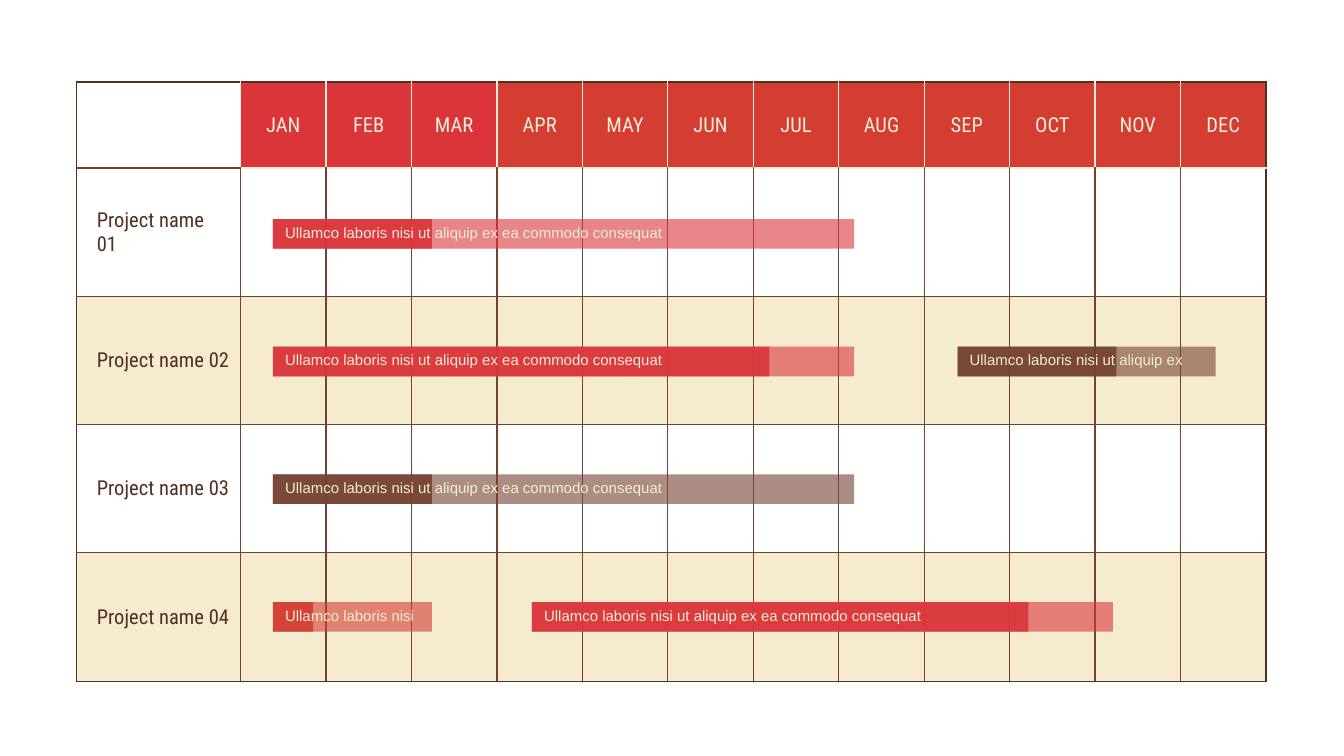
import pptx
import pptx.util
import pptx.dml.color
import pptx.enum.shapes
import pptx.enum.text
import pptx.oxml
import pptx.oxml.ns
from lxml import etree

Inches = pptx.util.Inches
Pt = pptx.util.Pt
RGBColor = pptx.dml.color.RGBColor
qn = pptx.oxml.ns.qn
ALIGN = pptx.enum.text.PP_ALIGN

CREAM = RGBColor(0xF6, 0xED, 0xD4)
SAND = RGBColor(0xED, 0xD8, 0x9E)
ROSE = RGBColor(0xDA, 0x35, 0x3B)
RED = RGBColor(0xD3, 0x3D, 0x32)
BROWN = RGBColor(0x75, 0x42, 0x31)
DARK = RGBColor(0x52, 0x2F, 0x21)

# Grid, in inches
WIDE = 10
HIGH = WIDE * 9 / 16
LEFT, TOP = 0.57, 0.61
NAME_W, HEAD_H = 1.22, 0.64
MONTH_W = 7.63 / 12
ROW_H = 3.82 / 4
BAR_TOP, BAR_STEP, BAR_H = 1.63, 0.95, 0.22

MONTHS = "JAN FEB MAR APR MAY JUN JUL AUG SEP OCT NOV DEC".split()
NAMES = ["Project name\n01", "Project name 02",
         "Project name 03", "Project name 04"]

LONG = "Ullamco laboris nisi ut aliquip ex ea commodo consequat"
# Project row, start, length and done (in months), colour, label, label width
BARS = [
    (0, 0.38, 6.8, 1.86, ROSE, LONG, 3.11),
    (3, 0.38, 1.86, 0.47, RED, "Ullamco laboris nisi", 1.13),
    (1, 0.38, 6.8, 5.81, ROSE, LONG, 3.11),
    (2, 0.38, 6.8, 1.86, BROWN, LONG, 3.11),
    (3, 3.41, 6.8, 5.81, ROSE, LONG, 3.11),
    (1, 8.39, 3.02, 1.86, BROWN, "Ullamco laboris nisi ut aliquip ex", 1.87),
]


def tint(fill, props, color, share=100):
    """Fill with a colour, see-through when share is under 100."""
    fill.solid()
    fill.fore_color.rgb = color
    if share < 100:
        tone = props.find(qn("a:solidFill"))[0]
        etree.SubElement(tone, qn("a:alpha"), val=str(share * 1000))


def style(frame, font, size, color, align=ALIGN.LEFT):
    for para in frame.paragraphs:
        para.alignment = align
        for run in para.runs:
            run.font.name = font
            run.font.size = Pt(size)
            run.font.color.rgb = color


def edge(cell, side, color):
    line = etree.SubElement(cell._tc.get_or_add_tcPr(), qn("a:ln" + side),
                            w=str(Pt(0.75)))
    paint = etree.SubElement(line, qn("a:solidFill"))
    etree.SubElement(paint, qn("a:srgbClr"), val=str(color))


def add_edges(cell, row, col):
    """Dark outer frame, cream lines around months, brown lines elsewhere."""
    head = row == 0
    month = col > 0
    inner = CREAM if head else BROWN
    edge(cell, "L", inner if month else DARK)
    edge(cell, "R", DARK if col == len(MONTHS) else inner)
    edge(cell, "T", DARK if head else
         CREAM if row == 1 and month else BROWN)
    edge(cell, "B", DARK if row == len(NAMES) else
         CREAM if head and month else BROWN)


def add_cell(cell, row, col):
    add_edges(cell, row, col)
    props = cell._tc.tcPr
    if row == 0 and col > 0:
        tint(cell.fill, props, ROSE if col <= 3 else RED)
    elif row > 0 and row % 2 == 0:
        tint(cell.fill, props, SAND, 50)
    else:
        cell.fill.background()

    cell.vertical_anchor = pptx.enum.text.MSO_ANCHOR.MIDDLE
    cell.margin_left = Inches(0.15 if col == 0 else 0.04)
    cell.margin_right = Inches(0.04)
    cell.margin_top = cell.margin_bottom = Inches(0.02)
    if row == 0 and col > 0:
        cell.text_frame.text = MONTHS[col - 1]
        style(cell.text_frame, "Roboto Condensed", 11, CREAM, ALIGN.CENTER)
    elif row > 0 and col == 0:
        cell.text_frame.text = NAMES[row - 1]
        style(cell.text_frame, "Roboto Condensed", 11, DARK)


def add_plan(slide):
    rows, cols = len(NAMES) + 1, len(MONTHS) + 1
    table = slide.shapes.add_table(
        rows, cols, Inches(LEFT), Inches(TOP),
        Inches(NAME_W + 12 * MONTH_W), Inches(HEAD_H + 4 * ROW_H)).table
    table.first_row = table.horz_banding = False
    for col in range(cols):
        table.columns[col].width = Inches(MONTH_W if col else NAME_W)
    for row in range(rows):
        table.rows[row].height = Inches(ROW_H if row else HEAD_H)
        for col in range(cols):
            add_cell(table.cell(row, col), row, col)


def add_strip(group, left, top, months, color, share):
    strip = group.shapes.add_shape(
        pptx.enum.shapes.MSO_SHAPE.RECTANGLE, Inches(left), Inches(top),
        Inches(months * MONTH_W), Inches(BAR_H))
    strip.shadow.inherit = False
    strip.line.fill.background()
    tint(strip.fill, strip._element.spPr, color, share)


def add_bar(slide, row, start, length, done, color, label, width):
    left = LEFT + NAME_W + start * MONTH_W
    top = BAR_TOP + row * BAR_STEP
    group = slide.shapes.add_group_shape()
    add_strip(group, left, top, length, color, 60)
    add_strip(group, left, top, done, color, 90)

    box = group.shapes.add_textbox(Inches(left + 0.05), Inches(top + 0.01),
                                   Inches(width), Inches(0.18))
    frame = box.text_frame
    frame.word_wrap = True
    frame.margin_left = frame.margin_right = Inches(0.04)
    frame.margin_top = frame.margin_bottom = Inches(0.02)
    frame.text = label
    style(frame, "Arial", 8, CREAM)


def main():
    deck = pptx.Presentation()
    deck.slide_width = Inches(WIDE)
    deck.slide_height = Inches(HIGH)
    slide = deck.slides.add_slide(deck.slide_layouts[6])

    # Year table
    add_plan(slide)

    # Progress bars over the months
    for bar in BARS:
        add_bar(slide, *bar)

    deck.save("out.pptx")


if __name__ == "__main__":
    main()
